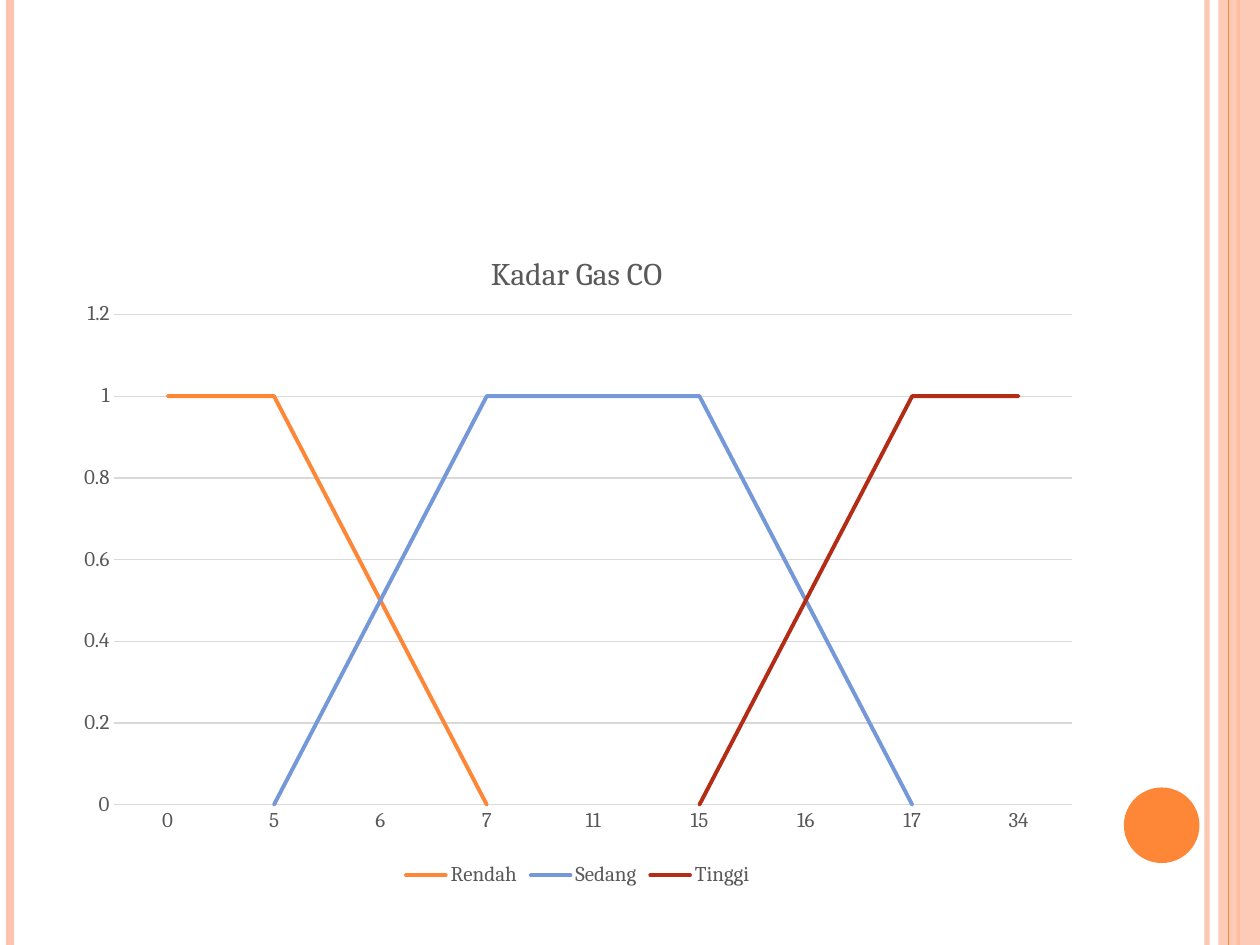
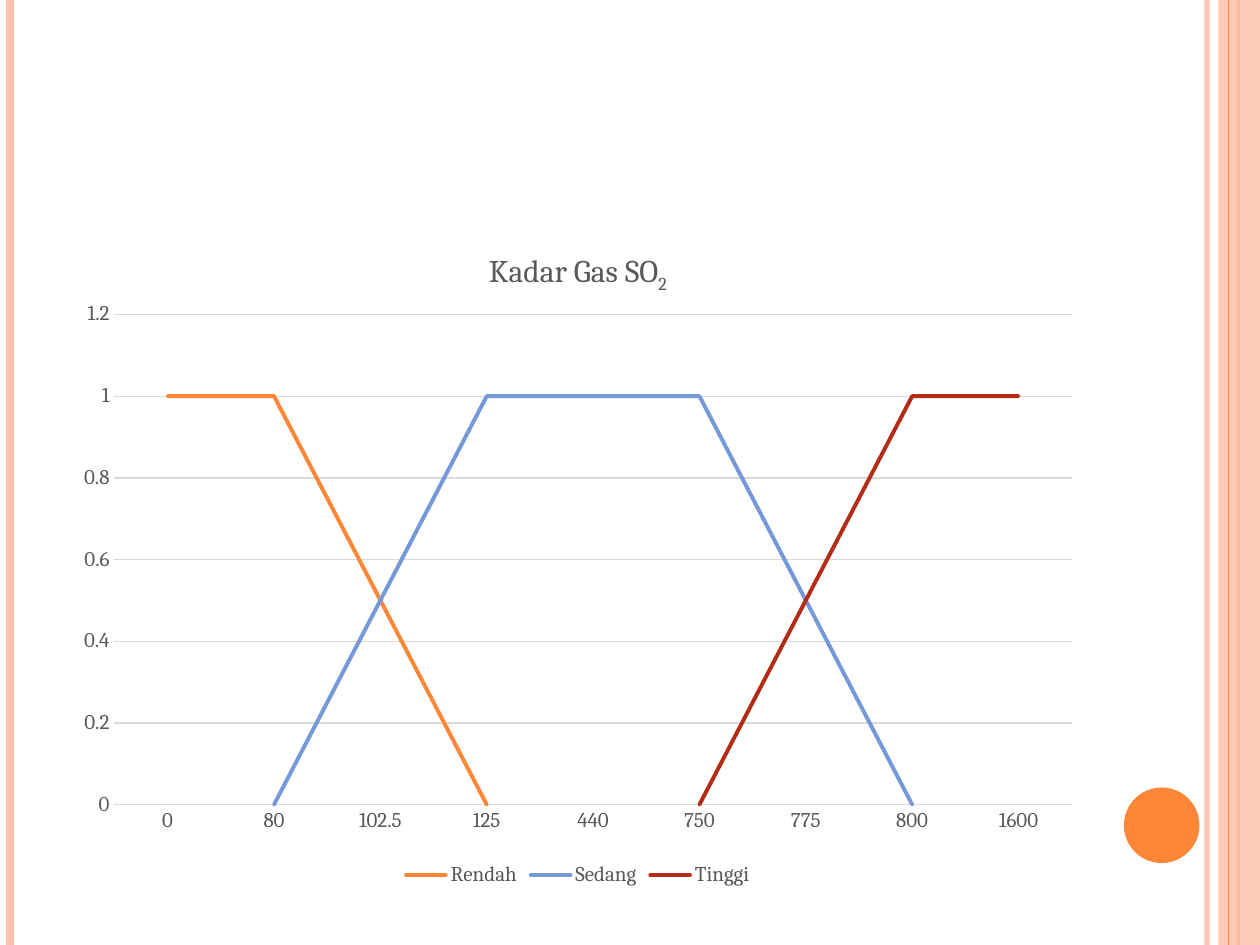
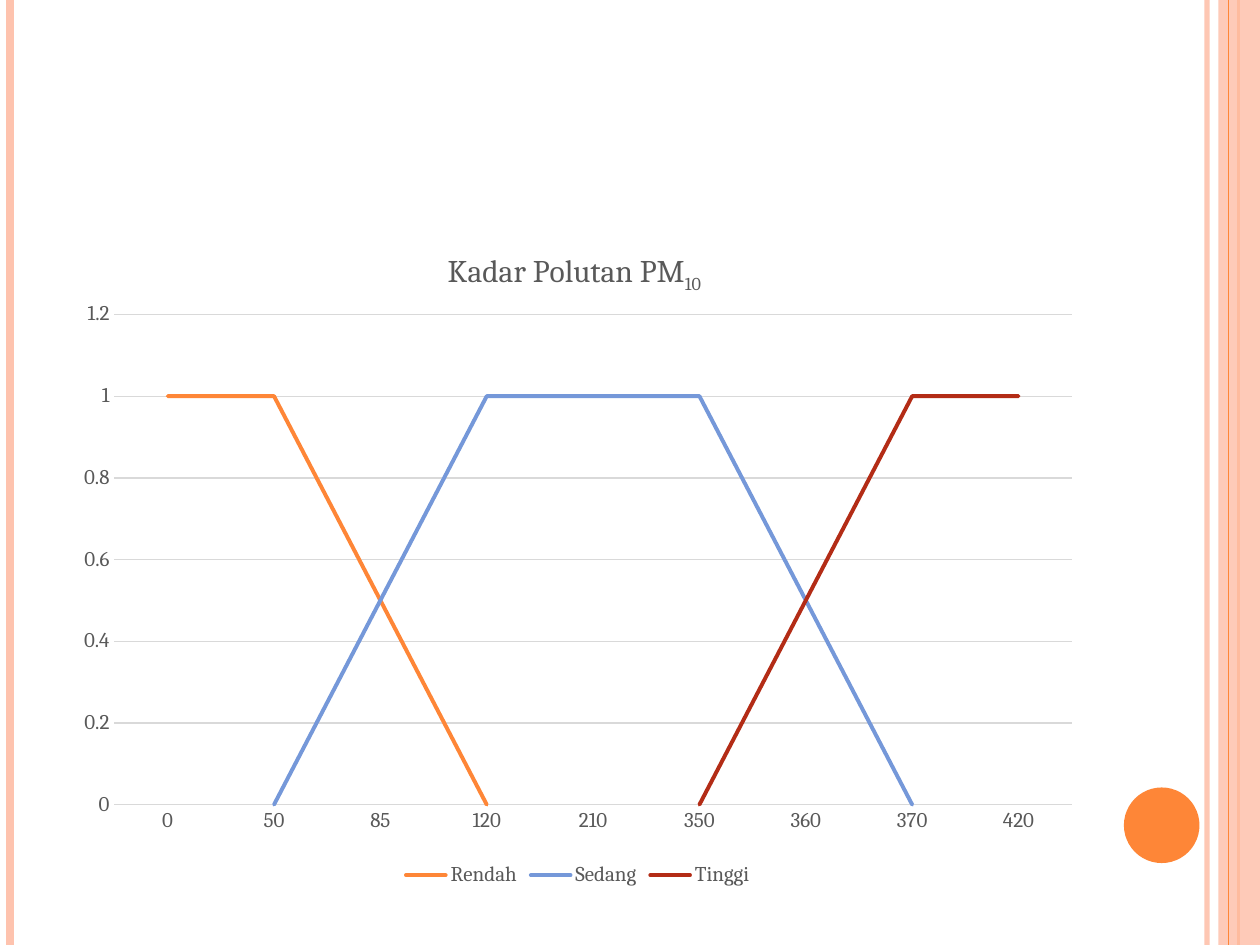
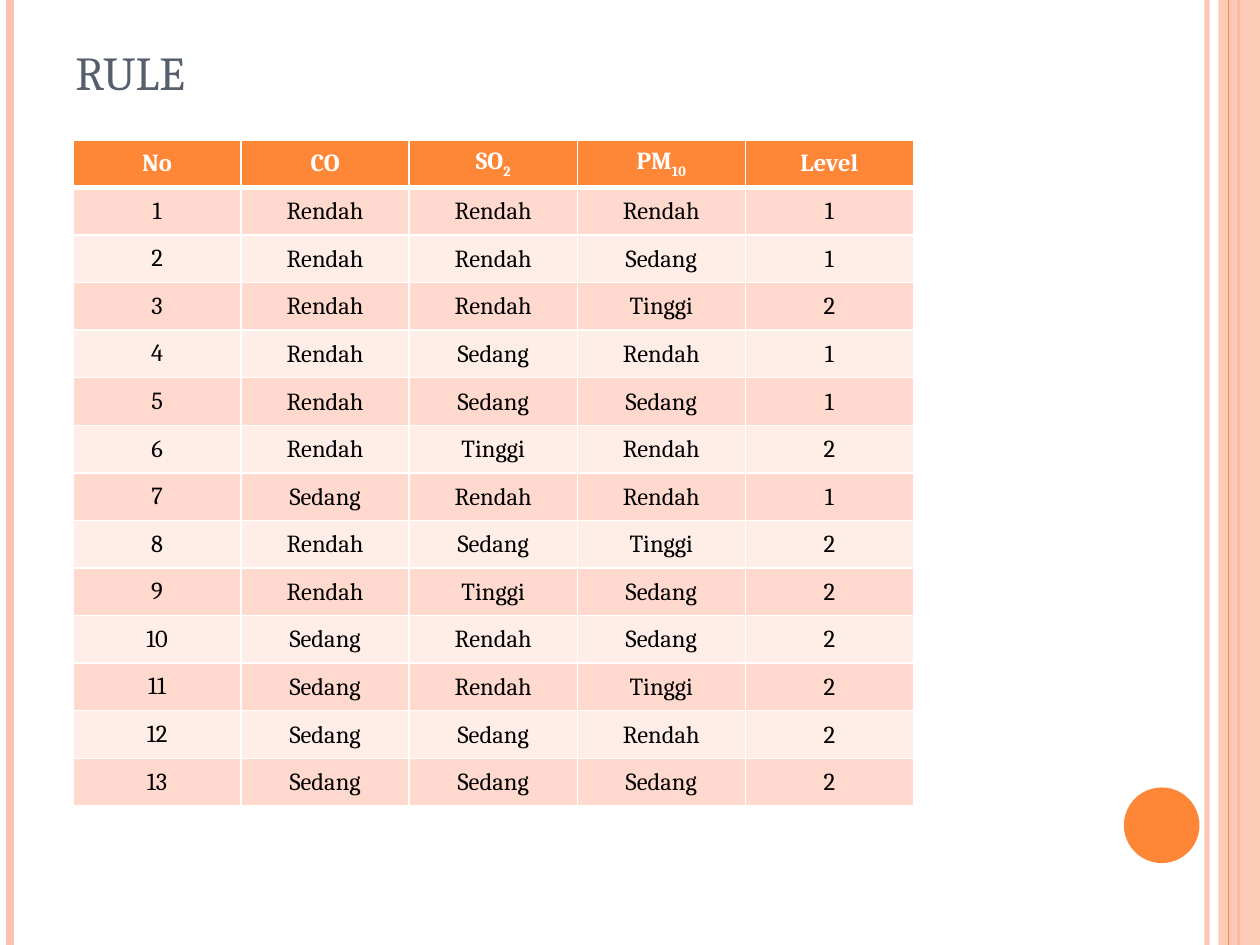
from dataclasses import dataclass

from lxml import etree
from pptx import Presentation
from pptx import util as u
from pptx.chart import data as chart_data
from pptx.dml.color import RGBColor
from pptx.enum import chart as charts, shapes, text
from pptx.oxml.ns import qn


@dataclass(frozen=True)
class Theme:
    """Colours, font and type sizes of the deck."""
    orange: str = "FE8637"
    peach: str = "FEC3AE"
    blue: str = "7598D9"
    red: str = "B32C16"
    slate: str = "575F6D"
    grey: str = "595959"
    grid: str = "D9D9D9"
    white: str = "FFFFFF"
    black: str = "000000"
    band_dark: str = "FFD9CE"
    band_light: str = "FFEDE8"
    font: str = "Cambria"
    title: int = 27
    chart_title: int = 18
    table: int = 14
    label: int = 12


theme = Theme()
rgb = RGBColor.from_string


def write(para, words, size, color, bold=False, align=None, caps=False):
    """Fill a paragraph; what follows an underscore becomes a subscript."""
    para.alignment = align
    for index, part in enumerate(words.split("_")):
        span = para.add_run()
        span.text = part
        span.font.name = theme.font
        span.font.size = u.Pt(size)
        span.font.bold = bold
        span.font.color.rgb = rgb(color)
        if index:
            span._r.get_or_add_rPr().set("baseline", "-25000")
        if caps:
            span._r.get_or_add_rPr().set("cap", "small")


def place(part, index, **settings):
    """Give a chart part a manual layout, inserted as child number index."""
    for old in part.findall(qn("c:layout")):
        part.remove(old)
    layout = etree.Element(qn("c:layout"))
    manual = etree.SubElement(layout, qn("c:manualLayout"))
    for name, value in settings.items():
        etree.SubElement(manual, qn("c:" + name)).set("val", str(value))
    part.insert(index, layout)


deck = Presentation()
deck.slide_width, deck.slide_height = u.Inches(10), u.Inches(7.5)
blank = deck.slide_layouts[6]
pages = [deck.slides.add_slide(blank) for _ in range(4)]

# Side bands and disc: drawn once, then moved to the layout all slides share
first = pages[0].shapes
decor = []
for x, color, width, opacity in [
    (9.58, theme.peach, 3, 93),
    (0.08, theme.peach, 4.5, 100),
    (9.83, theme.orange, 1.5, 100),
    (9.75, theme.orange, 0.75, 100),
]:
    rule = first.add_connector(shapes.MSO_CONNECTOR.STRAIGHT, u.Inches(x), 0, u.Inches(x), deck.slide_height)
    rule.line.color.rgb = rgb(color)
    rule.line.width = u.Pt(width)
    etree.SubElement(rule._element.spPr, qn("a:effectLst"))
    decor.append((rule, opacity))

for kind, x, y, width, height, color, opacity in [
    (shapes.MSO_SHAPE.RECTANGLE, 9.67, 0, 0.33, 7.5, theme.peach, 87),
    (shapes.MSO_SHAPE.OVAL, 8.92, 6.25, 0.6, 0.6, theme.orange, 100),
]:
    shape = first.add_shape(kind, u.Inches(x), u.Inches(y), u.Inches(width), u.Inches(height))
    shape.shadow.inherit = False
    shape.fill.solid()
    shape.fill.fore_color.rgb = rgb(color)
    shape.line.fill.background()
    decor.append((shape, opacity))

decor.insert(3, decor.pop(4))  # the wide band lies under the last rule
for shape, opacity in decor:
    if opacity < 100:
        tint = next(shape._element.spPr.iter(qn("a:srgbClr")))
        etree.SubElement(tint, qn("a:alpha")).set("val", str(opacity * 1000))
    blank.shapes._spTree.insert_element_before(shape._element, "p:extLst")

# Membership charts
levels = [
    ("Rendah", theme.orange, [1, 1, 0.5, 0] + [None] * 5),
    ("Sedang", theme.blue, [None, 0, 0.5, 1, 1, 1, 0.5, 0, None]),
    ("Tinggi", theme.red, [None] * 5 + [0, 0.5, 1, 1]),
]
pollutants = [
    ("Kadar Gas CO", 0.41, "0 5 6 7 11 15 16 17 34"),
    ("Kadar Gas SO_2", 0.41, "0 80 102.5 125 440 750 775 800 1600"),
    ("Kadar Polutan PM_10", 0.37, "0 50 85 120 210 350 360 370 420"),
]
for page, (title, title_left, limits) in zip(pages, pollutants):
    values = chart_data.CategoryChartData()
    values.categories = limits.split()
    for name, color, points in levels:
        values.add_series(name, points)
    chart = page.shapes.add_chart(
        charts.XL_CHART_TYPE.LINE, u.Inches(0.5), u.Inches(1.75), u.Inches(8.17), u.Inches(5.33), values
    ).chart
    chart.font.name = theme.font
    chart.font.size = u.Pt(theme.label)
    chart.font.color.rgb = rgb(theme.grey)

    chart.has_title = True
    write(chart.chart_title.text_frame.paragraphs[0], title, theme.chart_title, theme.grey)
    place(chart.chart_title._element, 1, xMode="edge", yMode="edge", x=title_left, y=0.04)
    place(chart._chartSpace.chart.plotArea, 0, layoutTarget="inner", xMode="edge", yMode="edge",
          x=0.05, y=0.14, w=0.93, h=0.73)

    chart.has_legend = True
    chart.legend.position = charts.XL_LEGEND_POSITION.BOTTOM
    chart.legend.include_in_layout = False

    for axis in (chart.category_axis, chart.value_axis):
        axis.major_tick_mark = axis.minor_tick_mark = charts.XL_TICK_MARK.NONE
    scale = chart.value_axis
    scale.minimum_scale, scale.maximum_scale, scale.major_unit = 0, 1.2, 0.2
    scale.format.line.fill.background()
    for line in (chart.category_axis.format.line, scale.major_gridlines.format.line):
        line.color.rgb = rgb(theme.grid)
        line.width = u.Pt(0.75)

    chart.plots[0].vary_by_categories = False
    for series, (name, color, points) in zip(chart.plots[0].series, levels):
        series.smooth = False
        series.marker.style = charts.XL_MARKER_STYLE.NONE
        series.format.line.color.rgb = rgb(color)
        series.format.line.width = u.Pt(2.25)
        series.format.line._get_or_add_ln().set("cap", "rnd")

# Rule table
page = pages[3]
box = page.shapes.add_textbox(u.Inches(0.5), u.Inches(0.3), u.Inches(8.17), u.Inches(0.53))
box.text_frame.word_wrap = True
box.text_frame.vertical_anchor = text.MSO_ANCHOR.MIDDLE
write(box.text_frame.paragraphs[0], "RULE", theme.title, theme.slate, caps=True)

header = ["No", "CO", "SO_2", "PM_10", "Level"]
names = {"R": "Rendah", "S": "Sedang", "T": "Tinggi"}
rules = "RRR1 RRS1 RRT2 RSR1 RSS1 RTR2 SRR1 RST2 RTS2 SRS2 SRT2 SSR2 SSS2".split()
rows = [header] + [
    [str(number)] + [names.get(code, code) for code in rule]
    for number, rule in enumerate(rules, start=1)
]
table = page.shapes.add_table(
    len(rows), len(header), u.Inches(0.58), u.Inches(1.11), u.Inches(6.67), u.Inches(5.29)
).table
for row_index, row in enumerate(rows):
    is_header = row_index == 0
    band = theme.band_dark if row_index % 2 else theme.band_light
    for column_index, words in enumerate(row):
        cell = table.cell(row_index, column_index)
        cell.vertical_anchor = text.MSO_ANCHOR.MIDDLE
        if column_index and not is_header:
            cell.margin_left = cell.margin_top = cell.margin_right = u.Inches(0.01)
            cell.margin_bottom = 0
        for side in "LRTB":
            thick = (is_header and side == "B") or (row_index == 1 and side == "T")
            border = etree.SubElement(cell._tc.get_or_add_tcPr(), qn("a:ln" + side))
            border.set("w", str(u.Pt(3 if thick else 1)))
            paint = etree.SubElement(border, qn("a:solidFill"))
            etree.SubElement(paint, qn("a:srgbClr")).set("val", theme.white)
        cell.fill.solid()
        cell.fill.fore_color.rgb = rgb(theme.orange if is_header else band)
        write(cell.text_frame.paragraphs[0], words, theme.table,
              theme.white if is_header else theme.black,
              bold=is_header, align=text.PP_ALIGN.CENTER)

deck.save("out.pptx")
